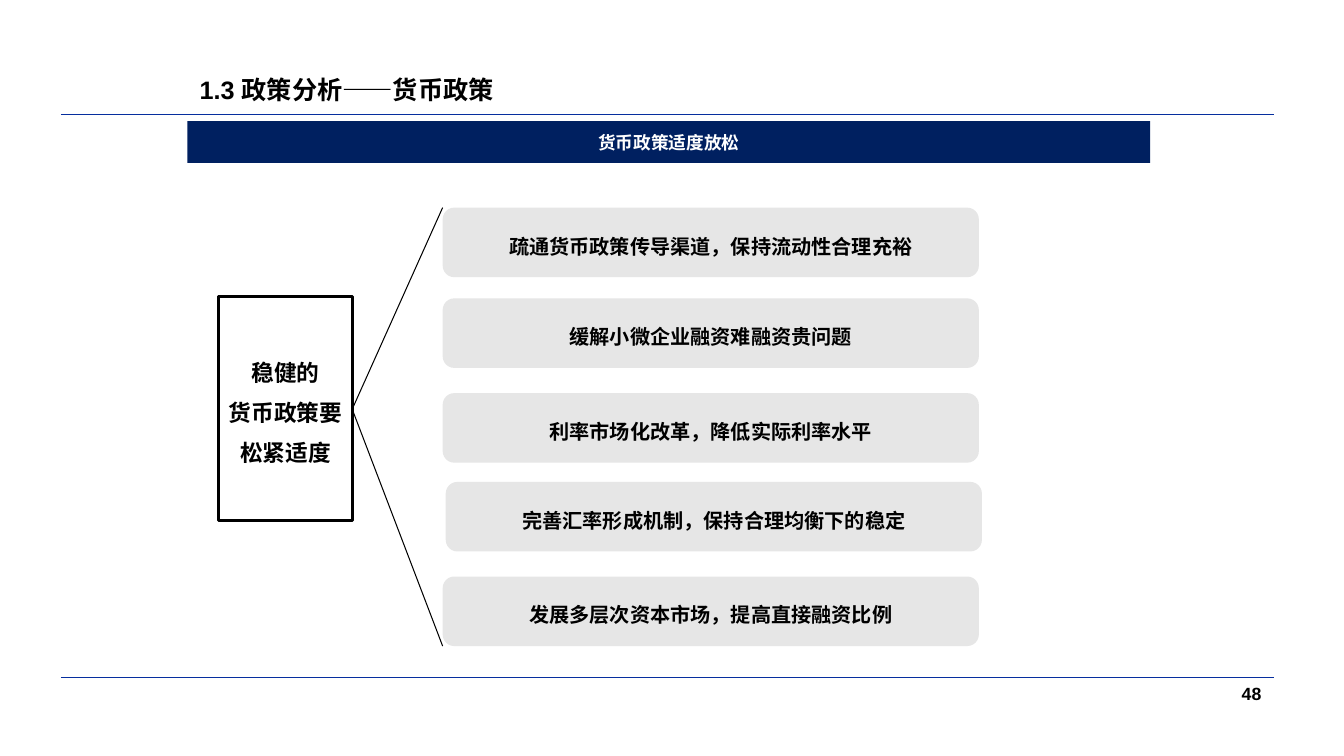
from lxml.etree import SubElement
from pptx import Presentation
from pptx.dml.color import RGBColor
from pptx.enum.shapes import MSO_CONNECTOR, MSO_SHAPE
from pptx.enum.text import MSO_ANCHOR, MSO_AUTO_SIZE, PP_ALIGN
from pptx.oxml.ns import qn
from pptx.util import Pt

BLACK, WHITE, NAVY, RULE_BLUE, GREY = "000000", "FFFFFF", "002060", "062E9E", "E6E6E6"
MEASURES = (
    (0, 148.3, "疏通货币政策传导渠道，保持流动性合理充裕"),
    (0, 213.1, "缓解小微企业融资难融资贵问题"),
    (0, 280.8, "利率市场化改革，降低实际利率水平"),
    (2.2, 344.2, "完善汇率形成机制，保持合理均衡下的稳定"),
    (0, 411.8, "发展多层次资本市场，提高直接融资比例"),
)


def colour(hex_code):
    """Turn a hex string into a colour."""
    return RGBColor.from_string(hex_code)


def write(holder, lines, size, hex_code=BLACK, font="Arial", align=PP_ALIGN.CENTER,
          anchor=MSO_ANCHOR.MIDDLE, wrap=True, spacing=1.0, before=0):
    """Fill a text holder with bold paragraphs."""
    frame = holder.text_frame
    frame.auto_size = MSO_AUTO_SIZE.NONE
    frame.word_wrap = wrap
    frame.vertical_anchor = anchor
    frame.text = "\n".join(lines)
    for paragraph in frame.paragraphs:
        paragraph.alignment = align
        paragraph.line_spacing = spacing
        paragraph.space_before = Pt(before)
        paragraph.font.name = font
        paragraph.font.size = Pt(size)
        paragraph.font.bold = True
        paragraph.font.color.rgb = colour(hex_code)


def add_panel(slide, kind, box, fill, outline=None):
    """Add a flat filled shape, outlined in black if a width is given."""
    panel = slide.shapes.add_shape(kind, *map(Pt, box))
    panel.shadow.inherit = False
    panel.fill.solid()
    panel.fill.fore_color.rgb = colour(fill)
    if outline:
        panel.line.color.rgb = colour(BLACK)
        panel.line.width = Pt(outline)
    else:
        panel.line.fill.background()
    return panel


def add_line(slide, start, end, hex_code, width):
    """Draw a straight line without a shadow."""
    line = slide.shapes.add_connector(MSO_CONNECTOR.STRAIGHT, *map(Pt, (*start, *end)))
    line.line.color.rgb = colour(hex_code)
    line.line.width = Pt(width)
    SubElement(line._element.spPr, qn("a:effectLst"))


def add_page_frame(slide, box, page_number):
    """Draw the rules at the top and bottom of the box and the page number."""
    left, top, width, height = box
    for rule_top in (top, top + height):
        add_line(slide, (left, rule_top), (left + width, rule_top), RULE_BLUE, 1)
    number = slide.shapes.add_textbox(Pt(left + width - 52), Pt(top + height), Pt(72), Pt(37.4))
    write(number, [page_number], 12.6, anchor=MSO_ANCHOR.TOP)


def add_heading(slide, box, heading):
    """Place the slide title in the box."""
    title = slide.shapes.title
    title.left, title.top, title.width, title.height = map(Pt, box)
    write(title, [heading], 18, align=PP_ALIGN.LEFT)


def add_banner(slide, box, message):
    """Add the navy banner below the title."""
    banner = add_panel(slide, MSO_SHAPE.RECTANGLE, box, NAVY)
    write(banner, [message], 12.6, WHITE, "Noto Sans CJK SC")


def add_policy(slide, box, lines):
    """Add the outlined box that states the policy."""
    policy = add_panel(slide, MSO_SHAPE.RECTANGLE, box, WHITE, 2)
    write(policy, lines, 16.2, wrap=False, spacing=1.3, before=3.2)


def add_measures(slide, box, tip):
    """Stack the measures in the box and fan lines to it from the tip."""
    left, top, width, height = box
    for shift, measure_top, wording in MEASURES:
        measure = add_panel(slide, MSO_SHAPE.ROUNDED_RECTANGLE,
                            (left + shift, measure_top, width, 49.7), GREY)
        write(measure, [wording], 14.4, wrap=False, spacing=1.3, before=2.9)
    for corner_top in (top, top + height):
        add_line(slide, tip, (left, corner_top), BLACK, 0.75)


def main():
    """Build and save the monetary policy slide."""
    deck = Presentation()
    deck.slide_width, deck.slide_height = Pt(960), Pt(540)
    slide = deck.slides.add_slide(deck.slide_layouts[5])
    add_page_frame(slide, (43.5, 81.7, 866.5, 402.3), "48")
    add_banner(slide, (133.8, 86.6, 687.8, 29.8), "货币政策适度放松")
    add_heading(slide, (135.4, 46.1, 586, 35.3), "1.3 政策分析——货币政策")
    add_policy(slide, (156.4, 211.7, 95.2, 160), ["稳健的", "货币政策要", "松紧适度"])
    add_measures(slide, (316.2, 148.3, 383, 313.2), (251.6, 292.3))
    deck.save("out.pptx")


if __name__ == "__main__":
    main()
